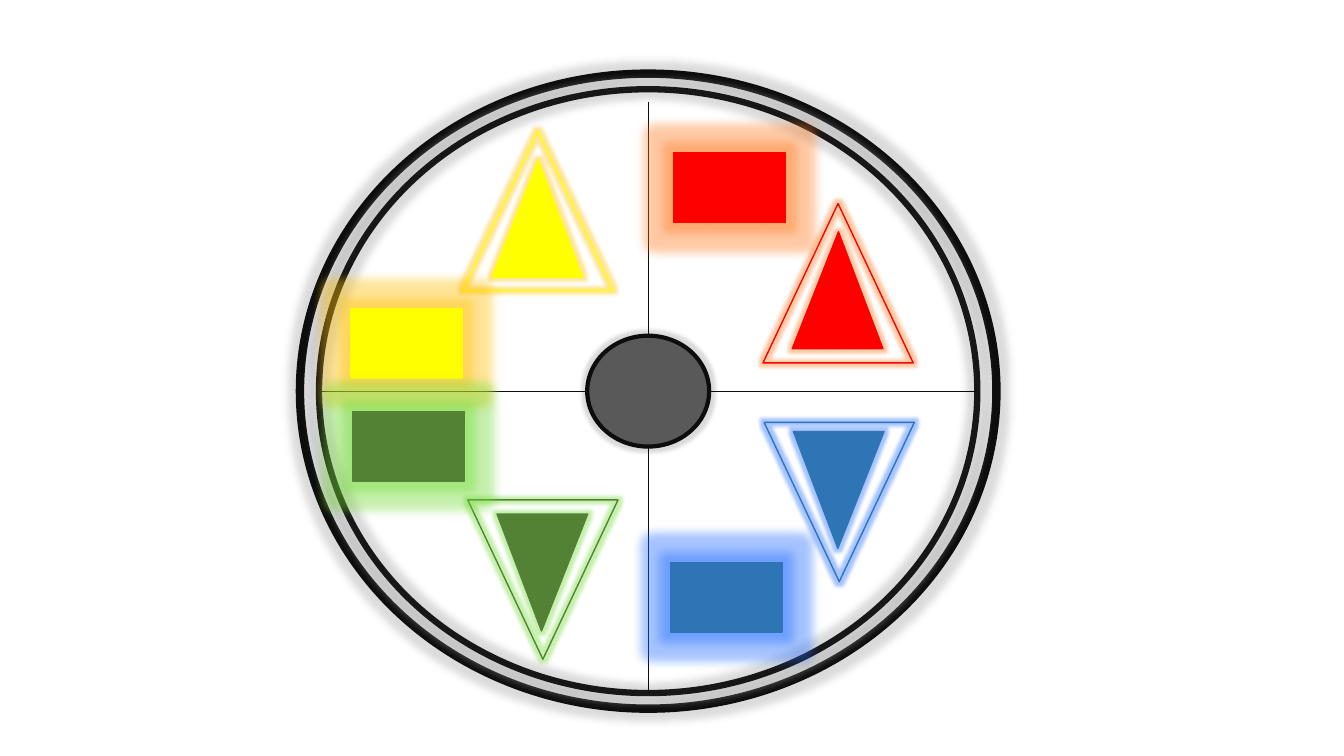
from pptx import Presentation
from pptx.dml.color import RGBColor as RGB
from pptx.enum.shapes import MSO_CONNECTOR as Link, MSO_SHAPE as Kind
from pptx.oxml.ns import qn
from pptx.util import Pt
from lxml.etree import SubElement as Sub

HUES = {"ink": "0D0D0D", "rim": "181717", "hub": "595959", "yellow": "FFFF00",
        "red": "FF0000", "green": "548235", "blue": "2E75B6"}
GLOWS = {"ink": "A5A5A5", "rim": "A5A5A5", "yellow": "FFC000",
         "red": "FF7A1F", "green": "70DB33", "blue": "1F6BFF"}


class Wheel:
    """Hold the style and the slide, and draw each kind of element."""

    def __init__(self, slide):
        """Keep the slide to draw on."""
        self.slide = slide

    def form(self, kind, x, y, w, h, hue, fill=None, line=1, glow=5, turn=0):
        """Draw a preset shape with an outline and a soft glow."""
        item = self.slide.shapes.add_shape(kind, Pt(x), Pt(y), Pt(w), Pt(h))
        item.rotation = turn
        if fill:
            item.fill.solid()
            item.fill.fore_color.rgb = RGB.from_string(HUES[fill])
        else:
            item.fill.background()
        item.line.color.rgb = RGB.from_string(HUES[hue])
        item.line.width = Pt(line)
        item.shadow.inherit = False
        halo = Sub(item._element.spPr.find(qn("a:effectLst")), qn("a:glow"), rad=str(Pt(glow)))
        tint = Sub(halo, qn("a:srgbClr"), val=GLOWS[hue])
        Sub(tint, qn("a:alpha"), val="40000")
        return item

    def oval(self, w, h, hue, **style):
        """Draw an ellipse about the wheel's centre."""
        self.form(Kind.OVAL, MID_X - w / 2, MID_Y - h / 2, w, h, hue, **style)

    def spoke(self, x1, y1, x2, y2):
        """Draw a thin line from the hub to the rim."""
        item = self.slide.shapes.add_connector(Link.STRAIGHT, Pt(x1), Pt(y1), Pt(x2), Pt(y2))
        item.line.color.rgb = RGB.from_string(HUES["ink"])
        item.line.width = Pt(0.5)
        Sub(item._element.spPr, qn("a:effectLst"))

    def sector(self, hue, box, tri, drop, turn=0):
        """Draw a block and a nested pair of triangles in one colour."""
        x, y = tri
        self.form(Kind.ISOSCELES_TRIANGLE, x, y, 107.3, 113.8, hue, turn=turn)
        core = self.form(Kind.ISOSCELES_TRIANGLE, x + 20.9, y + drop, 64.8, 83.5,
                         hue, fill=hue, turn=turn)
        core.adjustments[0] = 0.51
        self.form(Kind.RECTANGLE, *box, 79.9, 49.7, hue, fill=hue, glow=14)


MID_X, MID_Y = 463, 279.4
HUB_W, HUB_H = 87.1, 79.2
RIM_W, RIM_H = 470.2, 431.3

deck = Presentation()
deck.slide_width, deck.slide_height = Pt(960), Pt(540)
wheel = Wheel(deck.slides.add_slide(deck.slide_layouts[6]))

wheel.oval(497.5, 453.6, "ink", line=6, glow=11)
wheel.oval(RIM_W, RIM_H, "rim", line=4.5, glow=11)
wheel.oval(HUB_W, HUB_H, "ink", fill="hub", line=3)

wheel.spoke(MID_X, MID_Y - HUB_H / 2, MID_X, 72.7)
wheel.spoke(MID_X, MID_Y + HUB_H / 2, MID_X, MID_Y + RIM_H / 2)
for side in (1, -1):
    wheel.spoke(MID_X + side * HUB_W / 2, MID_Y, MID_X + side * RIM_W / 2, MID_Y)

wheel.sector("yellow", (250.5, 220.3), (330.5, 93.6), 20.9)
wheel.sector("red", (481, 109.4), (545, 145.4), 20.2)
wheel.sector("green", (252, 293.8), (334.1, 357.1), 10.1, turn=180)
wheel.sector("blue", (478.8, 401.8), (545.8, 301.7), 6.5, turn=180)

deck.save("out.pptx")
